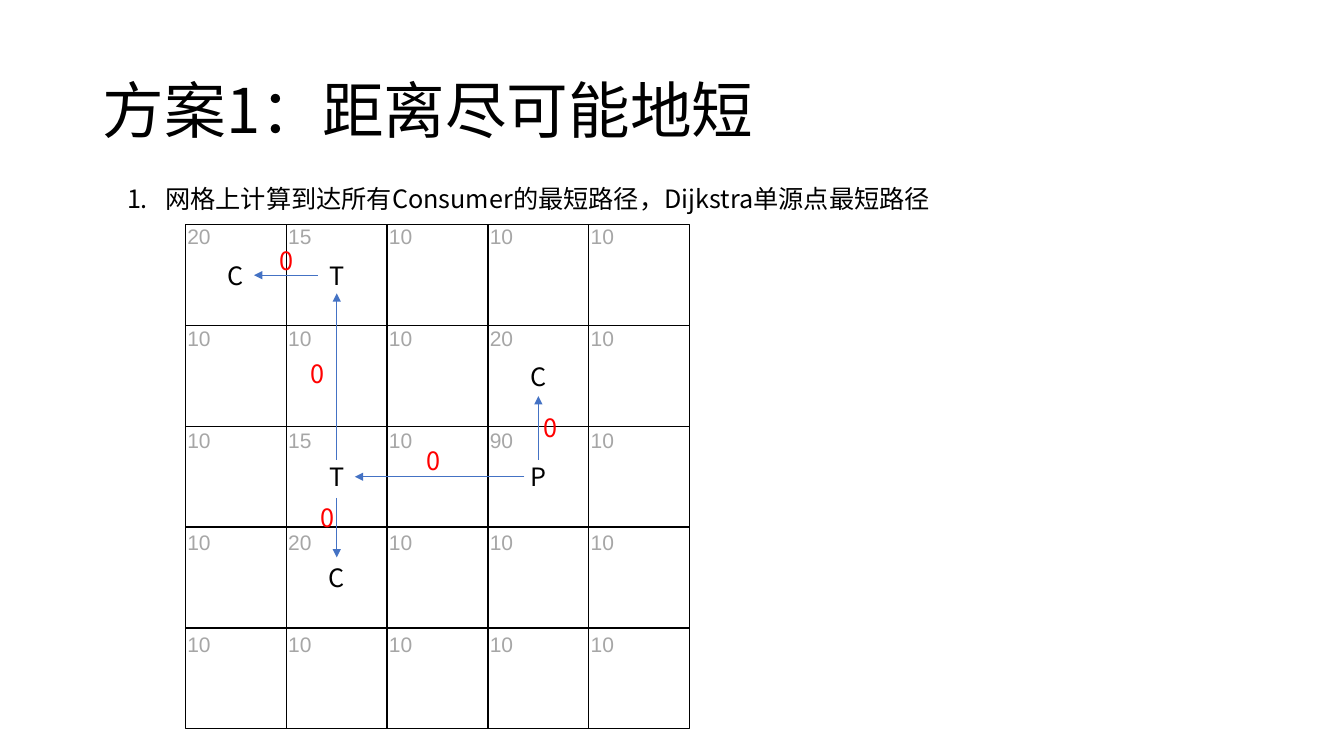
"""Build the slide on shortest delivery paths over a 5 by 5 grid."""
import pptx
import pptx.dml.color
import pptx.enum.shapes
import pptx.enum.text
import pptx.oxml.ns
import pptx.util
from lxml import etree

Inches = pptx.util.Inches
Pt = pptx.util.Pt
qn = pptx.oxml.ns.qn
ALIGN = pptx.enum.text.PP_ALIGN
MIDDLE = pptx.enum.text.MSO_ANCHOR.MIDDLE
COLORS = {"text": "000000", "capacity": "A6A6A6", "cost": "FF0000", "arrow": "4472C4"}
CJK_FONT = "Noto Sans CJK SC"


def rgb(name):
    return pptx.dml.color.RGBColor.from_string(COLORS[name])


def style(paragraph, size, color, font=CJK_FONT, align=ALIGN.LEFT):
    paragraph.alignment = align
    for run in paragraph.runs:
        run.font.size = Pt(size)
        run.font.color.rgb = rgb(color)
        run.font.name = font
        etree.SubElement(run.font._element, qn("a:ea"), typeface=font)


presentation = pptx.Presentation()
presentation.slide_width = Inches(13.33)
presentation.slide_height = Inches(7.5)
slide = presentation.slides.add_slide(presentation.slide_layouts[1])
shapes = slide.shapes

heading = shapes.title
heading.left, heading.top = Inches(0.92), Inches(0.4)
heading.width, heading.height = Inches(11.5), Inches(1.45)
heading.text_frame.text = "方案1：距离尽可能地短"
heading.text_frame.vertical_anchor = MIDDLE
heading.text_frame.paragraphs[0].line_spacing = 0.9
style(heading.text_frame.paragraphs[0], 44, "text")

steps = slide.placeholders[1]
steps.left, steps.top = Inches(1.16), Inches(1.77)
steps.width, steps.height = Inches(9.74), Inches(0.4)
steps.text_frame.text = "网格上计算到达所有Consumer的最短路径，Dijkstra单源点最短路径"
steps.text_frame.auto_size = pptx.enum.text.MSO_AUTO_SIZE.NONE
step = steps.text_frame.paragraphs[0]
step.space_before = Pt(0)
style(step, 18, "text")
step_properties = step._p.get_or_add_pPr()
step_properties.set("marL", str(Inches(0.38)))
step_properties.set("indent", str(-Inches(0.38)))
etree.SubElement(step_properties, qn("a:buFont"), typeface=CJK_FONT)
etree.SubElement(step_properties, qn("a:buAutoNum"), type="arabicPeriod")

capacities = [
    [20, 15, 10, 10, 10],
    [10, 10, 10, 20, 10],
    [10, 15, 10, 90, 10],
    [10, 20, 10, 10, 10],
    [10, 10, 10, 10, 10],
]
capacity_box = shapes.add_textbox(Inches(1.76), Inches(2.17), Inches(6.67), Inches(4.39))
capacity_box.text_frame.word_wrap = True
capacity_box.text_frame.text = "\n".join("\t".join(map(str, row)) for row in capacities)
for row, capacity_line in enumerate(capacity_box.text_frame.paragraphs):
    capacity_line.space_before = Pt(54.75 if row else 0)
    style(capacity_line, 15, "capacity", "Arial")
    tab_stops = etree.SubElement(capacity_line._p.get_or_add_pPr(), qn("a:tabLst"))
    for column in range(1, 5):
        etree.SubElement(tab_stops, qn("a:tab"), pos=str(Inches(column)), algn="l")

nodes = {(0, 0): "C", (0, 1): "T", (1, 3): "C", (2, 1): "T", (2, 3): "P", (3, 1): "C"}
for row in range(5):
    for column in range(5):
        cell = shapes.add_shape(
            pptx.enum.shapes.MSO_SHAPE.RECTANGLE,
            Inches(1.84 + column), Inches(2.23 + row), Inches(1), Inches(1),
        )
        cell.shadow.inherit = False
        cell.fill.background()
        cell.line.color.rgb = rgb("text")
        cell.line.width = Pt(1)
        if (row, column) in nodes:
            cell.text_frame.text = nodes[row, column]
            cell.text_frame.vertical_anchor = MIDDLE
            style(cell.text_frame.paragraphs[0], 18, "text", align=ALIGN.CENTER)

routes = [
    (5.34, 4.56, 5.34, 3.93),
    (5.2, 4.73, 3.52, 4.73),
    (3.15, 2.73, 2.52, 2.73),
    (3.34, 4.56, 3.34, 2.91),
    (3.34, 4.94, 3.34, 5.53),
]
for route in routes:
    arrow = shapes.add_connector(
        pptx.enum.shapes.MSO_CONNECTOR.STRAIGHT, *(Inches(value) for value in route)
    )
    arrow.line.color.rgb = rgb("arrow")
    arrow.line.width = Pt(0.5)
    etree.SubElement(arrow.line._get_or_add_ln(), qn("a:tailEnd"), type="triangle")
    etree.SubElement(arrow._element.spPr, qn("a:effectLst"))

for left, top in [(5.29, 4.04), (2.67, 2.38), (4.13, 4.37), (3.08, 4.93), (2.98, 3.51)]:
    cost = shapes.add_textbox(Inches(left), Inches(top), Inches(0.34), Inches(0.4))
    cost.text_frame.word_wrap = False
    cost.text_frame.text = "0"
    style(cost.text_frame.paragraphs[0], 18, "cost")

presentation.save("out.pptx")
